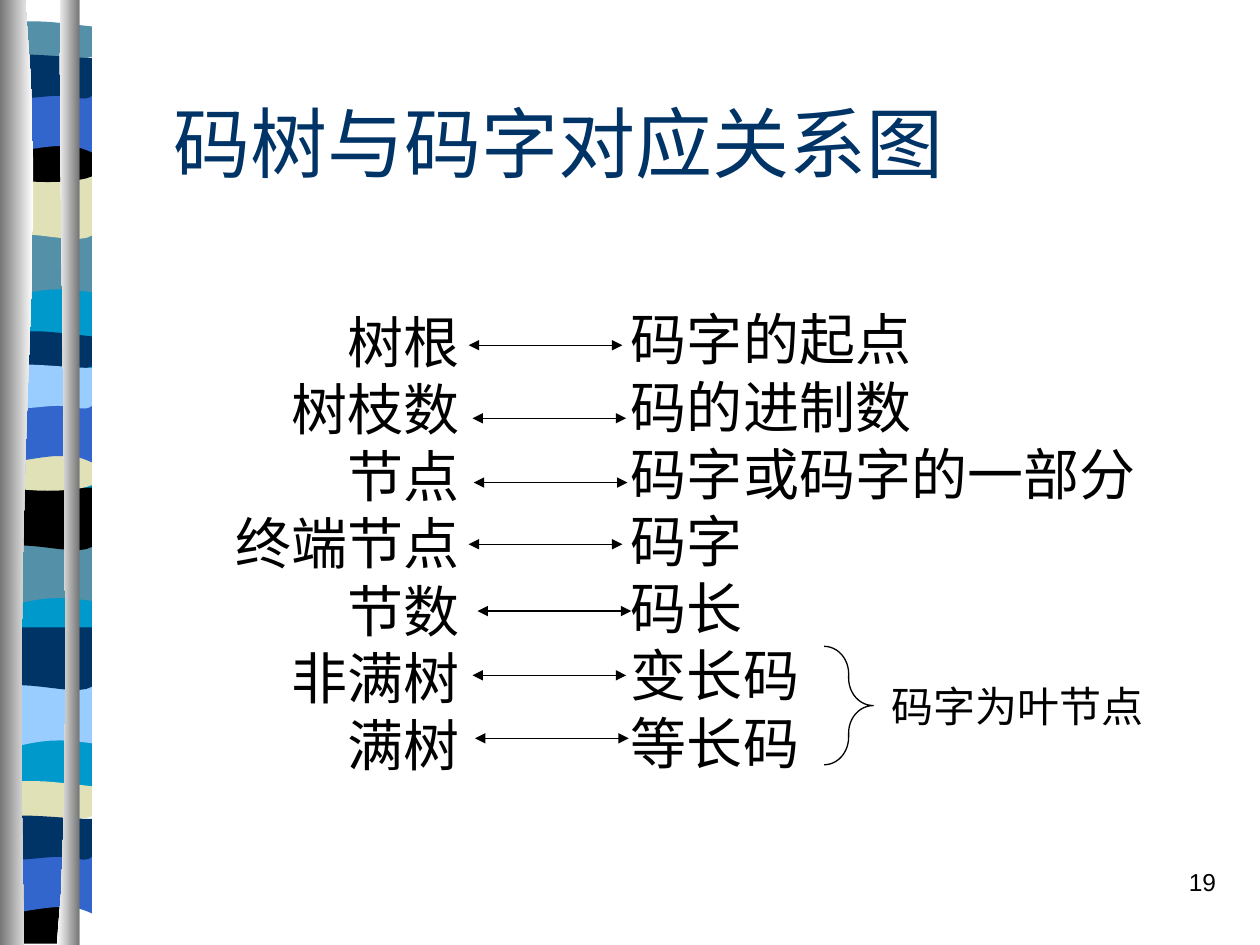
"""Build the slide that pairs code-tree terms with code-word terms."""
from typing import NamedTuple

from lxml.etree import SubElement as Sub
from pptx import Presentation as Deck
from pptx.dml.color import RGBColor as Rgb
from pptx.enum.shapes import MSO_CONNECTOR as Conn, MSO_SHAPE as Kind
from pptx.enum.text import MSO_ANCHOR as Anchor, MSO_AUTO_SIZE as Auto, PP_ALIGN as Align
from pptx.oxml.ns import qn
from pptx.util import Emu, Pt

PX = 9144
BLACK, WHITE = Rgb(0, 0, 0), Rgb(255, 255, 255)
NAVY, BLUE = Rgb(0x00, 0x33, 0x66), Rgb(0x33, 0x66, 0xCC)
TEAL, SKY = Rgb(0x00, 0x99, 0xCC), Rgb(0x99, 0xCC, 0xFF)
SLATE, CREAM = Rgb(0x54, 0x90, 0xA8), Rgb(0xE1, 0xE1, 0xB7)
GREY = Rgb(0x76, 0x76, 0x76)
LEFT, STEPS = 3, 10
SERIF, SANS = "Times New Roman", "Arial"


class Band(NamedTuple):
    form: str
    top: int
    fill: Rgb
    left: int = LEFT


class Label(NamedTuple):
    rows: list[str]
    box: tuple[int, int, int, int]
    font: dict
    para: dict = {}
    frame: dict = {}
    fill: Rgb | None = None


FORMS = {
    "base": [(70, 0), (70, 537), (0, 537), (0, 0)],
    "wave": [(70, 0), (70, 47), (21, 39, 12, 55, 0, 47), (0, 0)],
    "roll": [(70, 0), (70, 47), (58, 55, 21, 42, 0, 47), (0, 0)],
    "lens": [(70, 5), (70, 29), (58, 33, 12, 33, 0, 29), (0, 5),
             (5, 0, 15, 1, 27, 1), (38, 1, 60, 4, 70, 5)],
    "bowl": [(70, 0), (70, 32), (58, 38, 12, 38, 0, 32), (0, 0),
             (43, 5, 55, 0, 70, 0)],
    "arch": [(70, 0), (70, 47), (59, 42, 55, 42, 43, 42),
             (31, 42, 11, 47, 0, 47), (0, 0)],
    "tape": [(70, 6), (70, 36), (65, 41, 55, 36, 43, 36),
             (31, 36, 7, 41, 0, 36), (0, 6), (10, 0, 47, 6, 70, 6)],
    "foot": [(58, 0), (58, 37), (0, 37), (0, 0), (36, 5, 46, 0, 58, 0)],
    "post": [(20, 0), (39, 217, 9, 297, 19, 750), (0, 750), (0, 0)],
    "pole": [(3, 0), (0, 126, 15, 647, 0, 750), (18, 750), (18, 0)],
}
BANDS = [
    Band("base", 105, TEAL),
    Band("wave", 185, SLATE), Band("roll", 140, CREAM), Band("lens", 16, SLATE),
    Band("bowl", 108, BLACK), Band("arch", 74, BLUE), Band("tape", 40, NAVY),
    Band("wave", 430, SLATE), Band("roll", 387, BLACK), Band("lens", 262, NAVY),
    Band("bowl", 353, CREAM), Band("arch", 320, BLUE), Band("tape", 286, SKY),
    Band("wave", 543, SKY), Band("roll", 498, NAVY), Band("lens", 619, CREAM),
    Band("foot", 712, BLACK), Band("arch", 678, BLUE), Band("tape", 644, NAVY),
]
POSTS = [(Band("post", 0, GREY, 0), WHITE), (Band("pole", 0, WHITE, 45), GREY)]

BODY = {"size": Pt(32), "name": SERIF}
LABELS = [
    Label(["19"], (767, 683, 208, 50), {"size": Pt(14), "name": SANS},
          {"alignment": Align.RIGHT}),
    Label(["码树与码字对应关系图"], (128, 50, 850, 125),
          {"size": Pt(44), "name": SERIF, "rgb": NAVY},
          frame={"vertical_anchor": Anchor.MIDDLE}),
    Label(["树根", "树枝数", "节点", "终端节点", "节数", "非满树", "满树"],
          (142, 239, 233, 380), BODY, {"alignment": Align.RIGHT}, fill=WHITE),
    Label(["码字的起点", "码的进制数", "码字或码字的一部分", "码字", "码长",
           "变长码", "等长码"],
          (491, 237, 443, 380), BODY, {"alignment": Align.JUSTIFY}, fill=WHITE),
    Label(["码字为叶节点"], (698, 535, 222, 50), {"size": Pt(24), "name": SERIF},
          frame={"word_wrap": False, "auto_size": Auto.SHAPE_TO_FIT_TEXT}),
]
ARROWS = [(372, 274), (375, 332), (376, 383), (372, 432), (379, 485),
          (375, 536), (377, 586)]
SPAN = 122


def emu(*vals: float) -> list[Emu]:
    """Turn px lengths into EMU."""
    return [Emu(round(val * PX)) for val in vals]


def apply(item, vals: dict) -> None:
    """Set each named value on an item."""
    for key, val in vals.items():
        setattr(item, key, val)


def trace(form: list) -> list[tuple[float, float]]:
    """Flatten straight and cubic steps to points."""
    pts = [form[0]]
    for step in form[1:]:
        if len(step) == 2:
            pts.append(step)
            continue
        ends = [pts[-1], step[:2], step[2:4], step[4:]]
        for num in range(1, STEPS + 1):
            t = num / STEPS
            mix = ((1 - t) ** 3, 3 * t * (1 - t) ** 2, 3 * t * t * (1 - t), t ** 3)
            pts.append(tuple(sum(m * e[k] for m, e in zip(mix, ends)) for k in (0, 1)))
    return pts


def draw_band(shapes, band: Band, fade: Rgb | None = None) -> None:
    """Draw one side band, shaded across when a second colour is given."""
    pts = [emu(band.left + x, band.top + y) for x, y in trace(FORMS[band.form])]
    pen = shapes.build_freeform(*pts[0], scale=1.0)
    pen.add_line_segments(pts[1:], close=True)
    shape = pen.convert_to_shape()
    shape.shadow.inherit = False
    shape.line.fill.background()
    if fade is None:
        shape.fill.solid()
        shape.fill.fore_color.rgb = band.fill
        return
    shape.fill.gradient()
    shape.fill.gradient_angle = 0
    for stop, tone in zip(shape.fill.gradient_stops, (band.fill, fade)):
        stop.color.rgb = tone


def draw_label(shapes, label: Label) -> None:
    """Draw one text block, on a filled box when it has a fill."""
    if label.fill is None:
        shape = shapes.add_textbox(*emu(*label.box))
    else:
        shape = shapes.add_shape(Kind.RECTANGLE, *emu(*label.box))
        shape.shadow.inherit = False
        shape.fill.solid()
        shape.fill.fore_color.rgb = label.fill
        shape.line.fill.background()
    frame = shape.text_frame
    apply(frame, {"word_wrap": True, "vertical_anchor": Anchor.TOP} | label.frame)
    for num, row in enumerate(label.rows):
        para = frame.add_paragraph() if num else frame.paragraphs[0]
        apply(para, {"alignment": Align.LEFT} | label.para)
        run = para.add_run()
        run.text = row
        font = dict(label.font)
        run.font.color.rgb = font.pop("rgb", BLACK)
        apply(run.font, font)


def draw_arrow(shapes, x: int, y: int) -> None:
    """Draw one level arrow with a head at both ends."""
    link = shapes.add_connector(Conn.STRAIGHT, *emu(x, y, x + SPAN, y))
    link.line.width = Pt(0.75)
    link.line.color.rgb = BLACK
    for end in ("a:headEnd", "a:tailEnd"):
        Sub(link.line._get_or_add_ln(), qn(end), type="triangle")
    Sub(link._element.spPr, qn("a:effectLst"))


def draw_brace(shapes) -> None:
    """Draw the brace that joins the last two rows."""
    brace = shapes.add_shape(Kind.RIGHT_BRACE, *emu(654, 513, 39, 94))
    brace.shadow.inherit = False
    brace.adjustments[0] = 0.56
    brace.fill.background()
    brace.line.width = Pt(0.75)
    brace.line.color.rgb = BLACK


def main() -> None:
    """Lay out the slide and save it."""
    deck = Deck()
    deck.slide_width, deck.slide_height = emu(1000, 750)
    shapes = deck.slides.add_slide(deck.slide_layouts[6]).shapes
    for band in BANDS:
        draw_band(shapes, band)
    for band, fade in POSTS:
        draw_band(shapes, band, fade)
    for label in LABELS:
        draw_label(shapes, label)
    for x, y in ARROWS:
        draw_arrow(shapes, x, y)
    draw_brace(shapes)
    deck.save("out.pptx")


if __name__ == "__main__":
    main()
